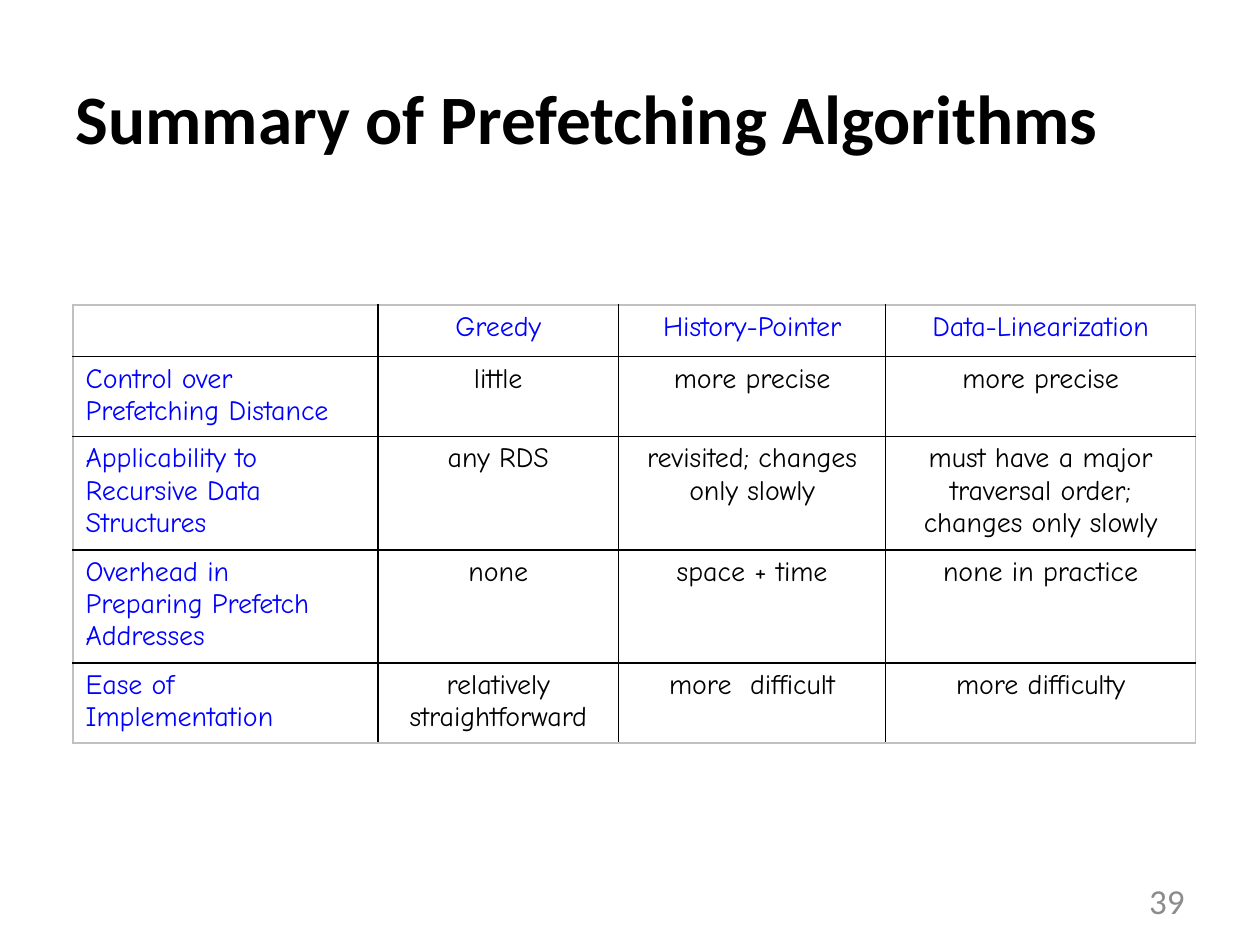
from dataclasses import dataclass

from lxml import etree
from pptx import Presentation
from pptx.dml.color import RGBColor
from pptx.enum import text
from pptx.oxml import ns
from pptx.util import Inches, Pt


@dataclass(frozen=True)
class Theme:
    black: str = "000000"
    blue: str = "0000FF"
    grey: str = "8C8C8C"
    frame: str = "C0C0C0"
    heading_font: str = "Calibri"
    table_font: str = "Comic Neue"
    title_size: float = 39.6
    number_size: float = 20
    table_size: float = 16
    rule_width: float = 1


THEME = Theme()
COLUMN_WIDTHS = (2.42, 1.91, 2.12, 2.46)
ROW_HEIGHT = 0.41
ROWS = (
    ("", "Greedy", "History-Pointer", "Data-Linearization"),
    ("Control over Prefetching Distance", "little", "more precise", "more precise"),
    ("Applicability to Recursive Data Structures", "any RDS",
     "revisited; changes only slowly",
     "must have a major traversal order; changes only slowly"),
    ("Overhead in\nPreparing Prefetch Addresses", "none", "space + time",
     "none in practice"),
    ("Ease of Implementation", "relatively straightforward", "more  difficult",
     "more difficulty"),
)


def write(frame, words, font, size, color, align, bold=False):
    frame.text = words
    for para in frame.paragraphs:
        para.alignment = align
        for span in para.runs:
            span.font.name = font
            span.font.size = Pt(size)
            span.font.bold = bold
            span.font.color.rgb = RGBColor.from_string(color)


def place(shape, left, top, width, height):
    shape.left, shape.top = Inches(left), Inches(top)
    shape.width, shape.height = Inches(width), Inches(height)


def add_title(page, words):
    title = page.shapes.title
    place(title, 0.5, 0.3, 9, 1.25)
    write(title.text_frame, words, THEME.heading_font, THEME.title_size,
          THEME.black, text.PP_ALIGN.LEFT, bold=True)
    title.text_frame.vertical_anchor = text.MSO_ANCHOR.MIDDLE


def add_page_number(page, number):
    box = page.shapes.add_textbox(
        Inches(7.17), Inches(6.95), Inches(2.33), Inches(0.4))
    box.text_frame.word_wrap = True
    box.text_frame.vertical_anchor = text.MSO_ANCHOR.MIDDLE
    write(box.text_frame, str(number), THEME.heading_font, THEME.number_size,
          THEME.grey, text.PP_ALIGN.RIGHT)


def set_borders(cell, outer_sides):
    """Rule all four sides, using the frame colour on the table's edge."""
    properties = cell._tc.get_or_add_tcPr()
    for side in "LRTB":
        line = etree.SubElement(properties, ns.qn(f"a:ln{side}"),
                                w=str(Pt(THEME.rule_width)))
        fill = etree.SubElement(line, ns.qn("a:solidFill"))
        color = THEME.frame if side in outer_sides else THEME.black
        etree.SubElement(fill, ns.qn("a:srgbClr"), val=color)


def add_comparison_table(page):
    last_row, last_column = len(ROWS) - 1, len(COLUMN_WIDTHS) - 1
    table = page.shapes.add_table(
        len(ROWS), len(COLUMN_WIDTHS), Inches(0.58), Inches(2.42),
        Inches(sum(COLUMN_WIDTHS)), Inches(ROW_HEIGHT * len(ROWS))).table
    table.first_row = table.horz_banding = False
    for column, width in zip(table.columns, COLUMN_WIDTHS):
        column.width = Inches(width)
    for r, row in enumerate(ROWS):
        for c, words in enumerate(row):
            cell = table.cell(r, c)
            edges = {"L": c == 0, "R": c == last_column,
                     "T": r == 0, "B": r == last_row}
            set_borders(cell, [side for side, outer in edges.items() if outer])
            cell.fill.background()
            color = THEME.blue if r == 0 or c == 0 else THEME.black
            align = text.PP_ALIGN.CENTER if c else text.PP_ALIGN.LEFT
            write(cell.text_frame, words, THEME.table_font, THEME.table_size,
                  color, align)


def main():
    deck = Presentation()
    deck.slide_width, deck.slide_height = Inches(10), Inches(7.5)
    page = deck.slides.add_slide(deck.slide_layouts.get_by_name("Title Only"))
    add_title(page, "Summary of Prefetching Algorithms")
    add_page_number(page, 39)
    add_comparison_table(page)
    deck.save("out.pptx")


if __name__ == "__main__":
    main()
